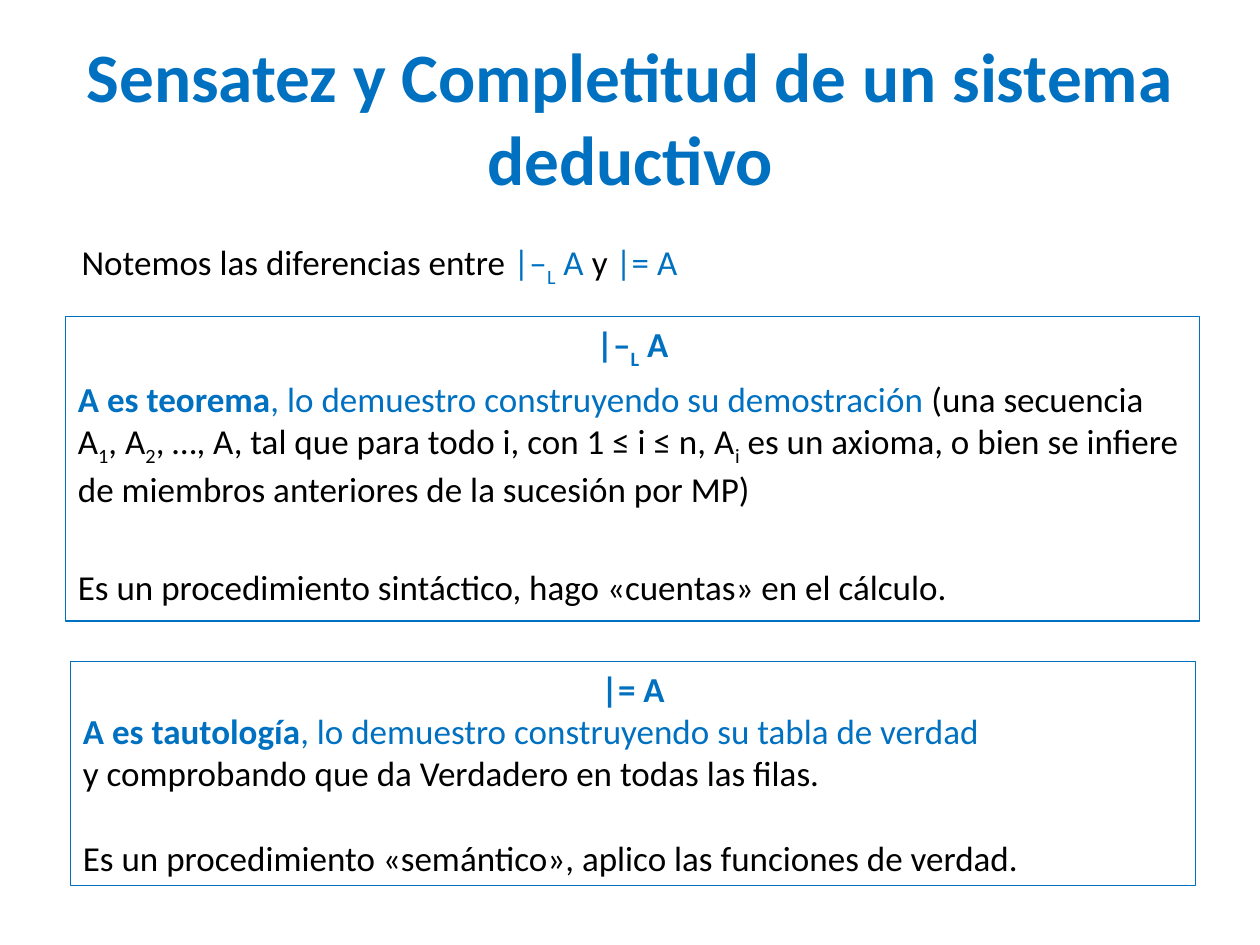
from pptx import Presentation
from pptx.dml.color import RGBColor
from pptx.enum.shapes import MSO_SHAPE as Shape
from pptx.enum.text import MSO_ANCHOR as Anchor, PP_ALIGN as Align
from pptx.util import Inches, Pt

FONT, BODY, HEAD = "Calibri", 20, 39.6
BLUE, BLACK = "0070C0", "000000"
WIDTH, HEIGHT = 10, 7.5
TIGHT, GAP, LINE = 4, 32, 24.4  # space before a paragraph, in points

# A run is (text, marks): c = blue, b = bold, s = subscript.
# A paragraph is (alignment, space before, runs).
TITLE = [(Align.CENTER, 0, [("Sensatez y Completitud de un sistema deductivo", "cb")])]

INTRO = [(Align.LEFT, 0, [
    ("Notemos las diferencias entre ", ""), ("|–", "c"), ("L", "cs"),
    (" A ", "c"), ("y", ""), (" |= A", "c")])]

THEOREM = [
    (Align.CENTER, 0, [("|–", "cb"), ("L", "cbs"), (" A", "cb")]),
    (Align.LEFT, TIGHT, [
        ("A es teorema", "cb"),
        (", lo demuestro construyendo su demostración ", "c"),
        ("(una secuencia A", ""), ("1", "s"), (", A", ""), ("2", "s"),
        (", …, A, tal que para todo i, con 1 ≤ i ≤ n, A", ""), ("i", "s"),
        (" es un axioma, o bien se infiere de miembros anteriores "
         "de la sucesión por MP)", "")]),
    (Align.LEFT, GAP, [
        ("Es un procedimiento sintáctico, hago «cuentas» en el cálculo.", "")]),
]

TAUTOLOGY = [
    (Align.CENTER, 0, [("|= A", "cb")]),
    (Align.LEFT, 0, [
        ("A es tautología", "cb"),
        (", lo demuestro construyendo su tabla de verdad", "c")]),
    (Align.LEFT, 0, [("y comprobando que da Verdadero en todas las filas.", "")]),
    (Align.LEFT, LINE, [
        ("Es un procedimiento «semántico», aplico las funciones de verdad.", "")]),
]

# (left, top, width, height) in inches, paragraphs, text size, anchor, framed
BLOCKS = [
    ((0.5, 0.3, 9, 1.25), TITLE, HEAD, Anchor.MIDDLE, False),
    ((0.52, 2.51, 9, 2.42), THEOREM, BODY, Anchor.TOP, True),
    ((0.56, 5.25, 8.93, 1.78), TAUTOLOGY, BODY, Anchor.TOP, True),
    ((0.55, 1.86, 9.36, 0.44), INTRO, BODY, Anchor.TOP, False),
]


def color(hex_text):
    return RGBColor.from_string(hex_text)


def add_frame(s, box):
    sp = s.shapes.add_shape(Shape.RECTANGLE, *box)
    sp.shadow.inherit = False
    sp.fill.background()
    sp.line.color.rgb = color(BLUE)
    sp.line.width = Pt(0.75)
    return sp


def add_run(p, text, marks, size):
    r = p.add_run()
    r.text = text
    r.font.name = FONT
    r.font.size = Pt(size)
    r.font.bold = "b" in marks
    r.font.color.rgb = color(BLUE if "c" in marks else BLACK)
    if "s" in marks:
        r._r.get_or_add_rPr().set("baseline", "-25000")


def add_block(s, place, paragraphs, size, anchor, framed):
    box = [Inches(v) for v in place]
    sp = add_frame(s, box) if framed else s.shapes.add_textbox(*box)
    tf = sp.text_frame
    tf.word_wrap = True
    tf.vertical_anchor = anchor
    for i, (align, before, runs) in enumerate(paragraphs):
        p = tf.add_paragraph() if i else tf.paragraphs[0]
        p.alignment = align
        p.space_before = Pt(before)
        for text, marks in runs:
            add_run(p, text, marks, size)


def main():
    prs = Presentation()
    prs.slide_width, prs.slide_height = Inches(WIDTH), Inches(HEIGHT)
    s = prs.slides.add_slide(prs.slide_layouts[6])
    for block in BLOCKS:
        add_block(s, *block)
    prs.save("out.pptx")


if __name__ == "__main__":
    main()
